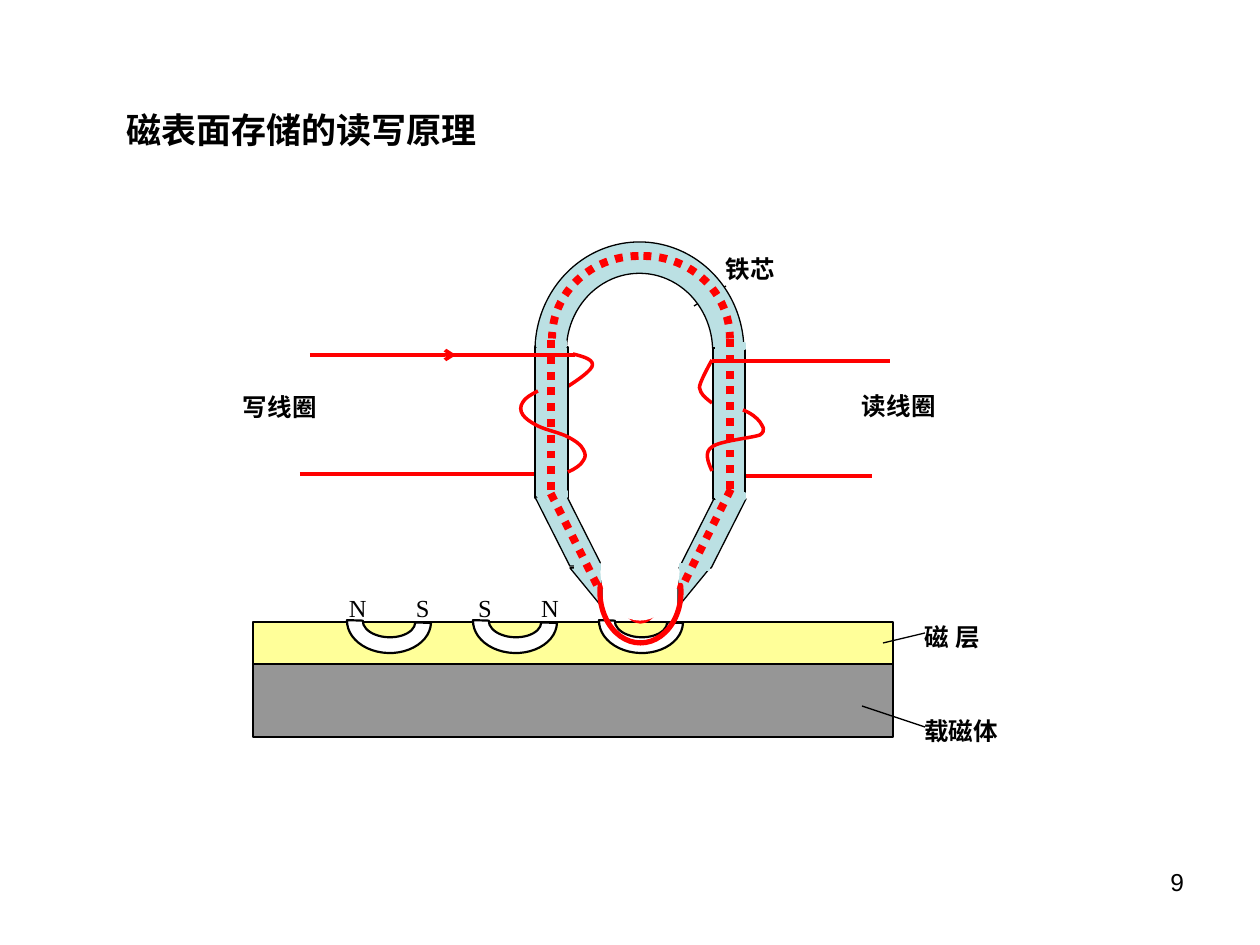
from lxml.etree import SubElement
from pptx import Presentation
from pptx.dml.color import RGBColor
from pptx.enum.dml import MSO_LINE
from pptx.enum.shapes import MSO_CONNECTOR, MSO_SHAPE
from pptx.enum.text import MSO_ANCHOR, PP_ALIGN
from pptx.oxml.ns import qn
from pptx.util import Pt

SCALE = 914400 / 126
BLACK = RGBColor(0x00, 0x00, 0x00)
WHITE = RGBColor(0xFF, 0xFF, 0xFF)
RED = RGBColor(0xFF, 0x00, 0x00)
IRON = RGBColor(0xBB, 0xE0, 0xE3)
YELLOW = RGBColor(0xFF, 0xFF, 0x99)
GRAY = RGBColor(0x96, 0x96, 0x96)


def px(value):
    return round(value * SCALE)


def place(shape, box):
    shape.left, shape.top, shape.width, shape.height = map(px, box)


def write(shape, text, size=14, font="Times New Roman", bold=False, align=PP_ALIGN.LEFT,
          margins=(0, 0), wrap=True, tab=None):
    frame = shape.text_frame
    frame.word_wrap = wrap
    frame.vertical_anchor = MSO_ANCHOR.TOP
    frame.margin_left = frame.margin_right = px(margins[0])
    frame.margin_top = frame.margin_bottom = px(margins[1])
    para = frame.paragraphs[0]
    para.alignment = align
    span = para.add_run()
    span.text = text
    span.font.size = Pt(size)
    span.font.name = font
    span.font.bold = bold
    span.font.color.rgb = BLACK
    if tab:
        stops = SubElement(para._p.get_or_add_pPr(), qn("a:tabLst"))
        SubElement(stops, qn("a:tab"), pos=str(px(tab)), algn="l")


def add_text(page, box, text, **style):
    write(page.shapes.add_textbox(*map(px, box)), text, **style)


def set_line(line, color, width, dotted=False):
    line.color.rgb = color
    line.width = Pt(width)
    if dotted:
        line.dash_style = MSO_LINE.ROUND_DOT


def add_block(page, kind, box, fill=IRON, line=BLACK, width=0.75, adjust=(),
              flip="", rotation=0, dotted=False):
    shape = page.shapes.add_shape(kind, *map(px, box))
    shape.shadow.inherit = False
    for index, value in enumerate(adjust):
        shape.adjustments[index] = value
    if fill is None:
        shape.fill.background()
    else:
        shape.fill.solid()
        shape.fill.fore_color.rgb = fill
    set_line(shape.line, line, width, dotted)
    shape.rotation = rotation
    for axis in flip:
        shape.element.spPr.find(qn("a:xfrm")).set("flip" + axis, "1")


def add_line(page, start, end, color=RED, width=2, dotted=False, arrow=False):
    line = page.shapes.add_connector(MSO_CONNECTOR.STRAIGHT, *map(px, start + end))
    set_line(line.line, color, width, dotted)
    if arrow:
        SubElement(line.line._get_or_add_ln(), qn("a:tailEnd"), type="arrow")
    SubElement(line.element.spPr, qn("a:effectLst"))


def add_coil(page, points):
    builder = page.shapes.build_freeform(*map(px, points[0]))
    builder.add_line_segments([tuple(map(px, point)) for point in points[1:]], close=False)
    coil = builder.convert_to_shape()
    coil.shadow.inherit = False
    coil.fill.background()
    set_line(coil.line, RED, 2)
    outline = next(coil.element.iter(qn("a:path")))
    segments = outline.findall(qn("a:lnTo"))
    for first in range(0, len(segments), 3):
        curve = SubElement(outline, qn("a:cubicBezTo"))
        for segment in segments[first:first + 3]:
            curve.append(segment[0])
            outline.remove(segment)


def add_medium(page):
    add_block(page, MSO_SHAPE.RECTANGLE, (253, 622, 640, 42), fill=YELLOW, width=1)
    for left in (347, 473, 599):
        add_block(page, MSO_SHAPE.BLOCK_ARC, (left, 590, 84, 63), fill=WHITE, width=1.25,
                  adjust=(108, 0, 0.25), rotation=181.9)
    add_text(page, (349, 593, 89, 29), "N\tS", tab=67)
    add_text(page, (478, 593, 84, 29), "S\tN", tab=63)
    add_block(page, MSO_SHAPE.RECTANGLE, (253, 664, 640, 73), fill=GRAY)


def add_labels(page):
    for left, top, width, text in (
        (925, 622, 63, "磁 层"), (924, 716, 105, "载磁体"), (726, 254, 63, "铁芯"),
        (243, 392, 102, "写线圈"), (862, 391, 116, "读线圈"),
    ):
        add_text(page, (left, top, width, 29), text, bold=True)
    for start, end in (((862, 706), (925, 727)), ((883, 643), (925, 633)),
                       ((694, 306), (726, 286))):
        add_line(page, start, end, color=BLACK, width=0.75)


def add_core(page):
    add_block(page, MSO_SHAPE.BLOCK_ARC, (535, 242, 209, 218),
              adjust=(109.25, 214.75, 0.15))
    add_block(page, MSO_SHAPE.RECTANGLE, (535, 347, 33, 151))
    add_block(page, MSO_SHAPE.PARALLELOGRAM, (535, 497, 67, 69), adjust=(0.52,), flip="H")
    add_block(page, MSO_SHAPE.RIGHT_TRIANGLE, (570, 568, 32, 39), flip="HV")
    add_block(page, MSO_SHAPE.BLOCK_ARC, (600, 541, 81, 102), fill=None, line=RED,
              width=3, adjust=(102.43, 5.57, 0.27), flip="V")
    add_block(page, MSO_SHAPE.BLOCK_ARC, (603, 520, 74, 98), fill=WHITE, line=WHITE,
              width=3, adjust=(102.74, 5.26, 0.34), flip="V")
    add_block(page, MSO_SHAPE.PARALLELOGRAM, (679, 499, 67, 69), adjust=(0.52,))
    add_block(page, MSO_SHAPE.RECTANGLE, (713, 348, 32, 151))


def add_coils(page):
    add_line(page, (450, 355), (575, 355))
    add_coil(page, [(538, 391), (532, 394), (525, 398), (523, 402), (520, 406),
                    (520, 411), (523, 415), (525, 418), (530, 422), (538, 426),
                    (546, 430), (561, 433), (568, 437), (576, 441), (581, 445),
                    (583, 449), (586, 454), (586, 457), (583, 461), (581, 465),
                    (575, 469), (568, 472)])
    add_line(page, (712, 361), (890, 361))
    add_coil(page, [(743, 410), (751, 413), (757, 418), (760, 422), (762, 426),
                    (767, 430), (760, 435), (752, 438), (719, 441), (712, 447),
                    (704, 452), (708, 462), (712, 471)])


def add_flux(page):
    for left, flip in ((557, ""), (552, "H")):
        add_block(page, MSO_SHAPE.ARC, (left, 256, 173, 165), fill=None, line=RED,
                  width=4.5, flip=flip, dotted=True)
    for left, top, width in ((716, 343, 29), (538, 491, 29), (537, 341, 29),
                             (716, 493, 29), (575, 564, 25), (680, 564, 29)):
        add_block(page, MSO_SHAPE.RECTANGLE, (left, top, width, 6), line=IRON)
    for start, end in (((730, 489), (730, 334)), ((551, 490), (551, 335)),
                       ((597, 585), (549, 490)), ((685, 581), (733, 485))):
        add_line(page, start, end, width=4.5, dotted=True)


def main():
    deck = Presentation()
    deck.slide_width, deck.slide_height = px(1260), px(945)
    page = deck.slides.add_slide(deck.slide_layouts[5])
    title = page.shapes.title
    place(title, (113, 102, 390, 55))
    write(title, "磁表面存储的读写原理", size=20, font="Arial", bold=True,
          margins=(13, 6))
    add_block(page, MSO_SHAPE.RIGHT_TRIANGLE, (678, 568, 32, 39), flip="V")
    add_medium(page)
    add_line(page, (300, 474), (537, 474))
    add_coil(page, [(573, 354), (585, 357), (595, 360), (592, 367), (588, 374),
                    (572, 384), (556, 394)])
    add_coil(page, [(712, 360), (707, 369), (703, 377), (701, 382), (699, 387),
                    (699, 389), (701, 392), (703, 396), (707, 399), (712, 403)])
    add_line(page, (726, 476), (872, 476))
    add_labels(page)
    add_line(page, (310, 355), (456, 355), arrow=True)
    add_core(page)
    add_coils(page)
    add_flux(page)
    add_text(page, (903, 861, 294, 66), "9", font="Arial", align=PP_ALIGN.RIGHT,
             margins=(13, 6))
    deck.save("out.pptx")


if __name__ == "__main__":
    main()
